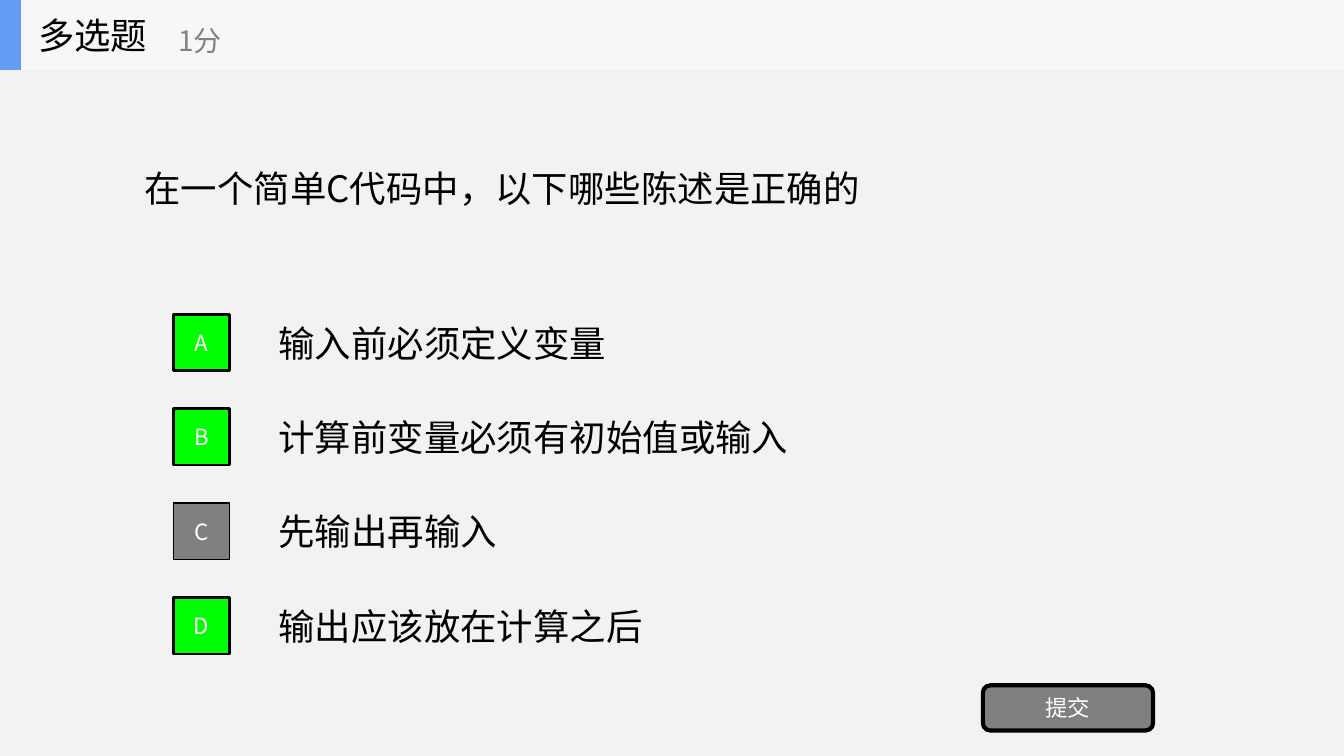
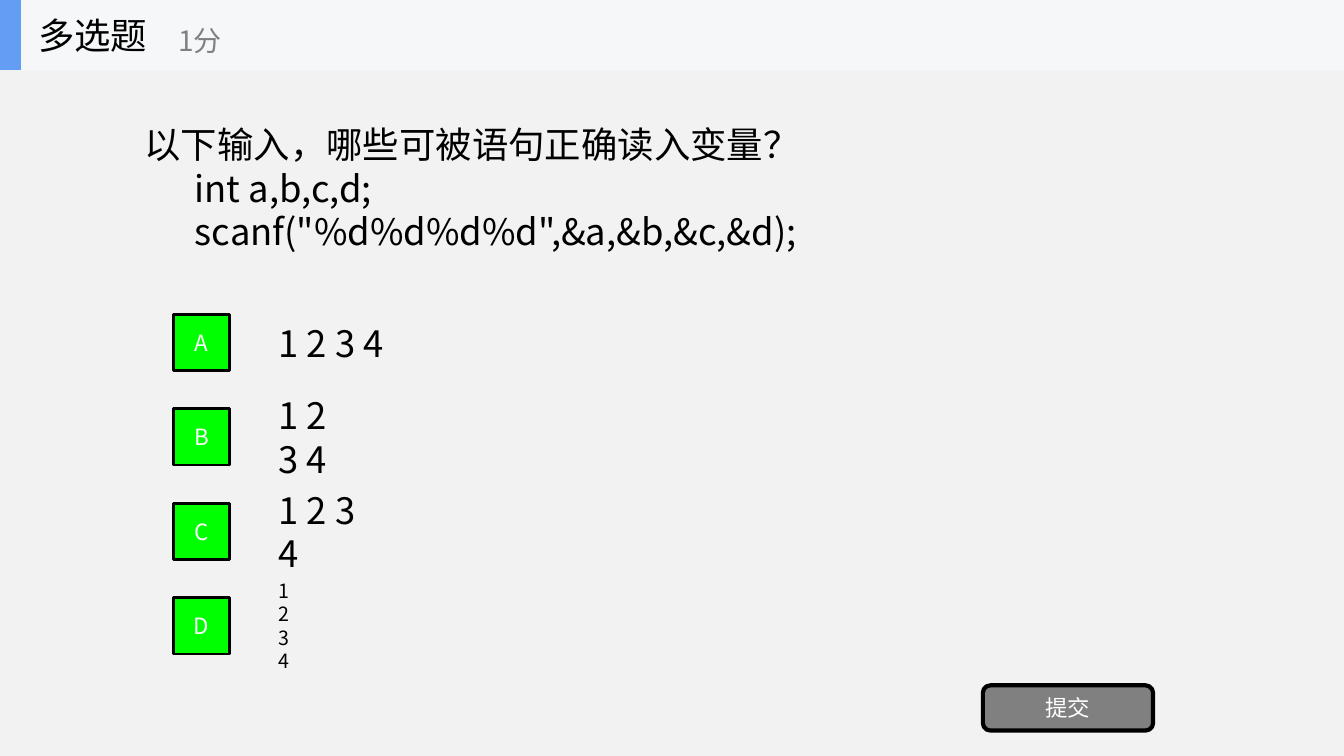
from dataclasses import dataclass

from lxml.etree import SubElement
from pptx import Presentation
from pptx.dml.color import RGBColor
from pptx.enum.shapes import MSO_SHAPE
from pptx.enum.text import MSO_ANCHOR, PP_ALIGN
from pptx.oxml.ns import qn
from pptx.util import Cm, Pt

FONT = "Noto Sans CJK SC"
BLACK, WHITE, GREY = "000000", "FFFFFF", "808080"
PAGE, BAND, ACCENT, CORRECT = "F2F2F2", "F6F7F8", "639EF4", "00FF00"
WIDTH, HEIGHT, BAND_HEIGHT = 33.87, 19.05, 1.76
FIRST_ROW, ROW_STEP, ROW_HEIGHT, BADGE_SIZE = 7.74, 2.38, 1.78, 1.42


@dataclass(frozen=True)
class Area:
    """A rectangle in centimetres."""
    left: float
    top: float
    width: float
    height: float

    def lengths(self) -> tuple:
        return Cm(self.left), Cm(self.top), Cm(self.width), Cm(self.height)


@dataclass(frozen=True)
class Option:
    lines: tuple[str, ...]
    correct: bool = True
    size: int = 26


@dataclass(frozen=True)
class Question:
    lines: tuple[str, ...]
    options: tuple[Option, ...]


QUESTIONS = (
    Question(
        ("在一个简单C代码中，以下哪些陈述是正确的",),
        (
            Option(("输入前必须定义变量",)),
            Option(("计算前变量必须有初始值或输入",)),
            Option(("先输出再输入",), correct=False),
            Option(("输出应该放在计算之后",)),
        ),
    ),
    Question(
        (
            "以下输入，哪些可被语句正确读入变量？",
            "\tint a,b,c,d;",
            '\tscanf("%d%d%d%d",&a,&b,&c,&d);',
        ),
        (
            Option(("1 2 3 4",)),
            Option(("1 2", "3 4")),
            Option(("1 2 3", "4")),
            Option(("1", "2", "3", "4"), size=14),
        ),
    ),
)


def colour(value: str) -> RGBColor:
    return RGBColor.from_string(value)


def write(shape, lines: tuple[str, ...], size: int, ink: str, align=PP_ALIGN.LEFT) -> None:
    """Fill a shape with one vertically centred paragraph per line."""
    frame = shape.text_frame
    frame.word_wrap = True
    frame.vertical_anchor = MSO_ANCHOR.MIDDLE
    for index, line in enumerate(lines):
        para = frame.add_paragraph() if index else frame.paragraphs[0]
        para.alignment = align
        span = para.add_run()
        span.text = line
        span.font.size = Pt(size)
        span.font.color.rgb = colour(ink)
        span.font.name = FONT
        SubElement(span.font._element, qn("a:ea"), typeface=FONT)


def add_text(page, area: Area, lines: tuple[str, ...], size: int = 26, ink: str = BLACK) -> None:
    write(page.shapes.add_textbox(*area.lengths()), lines, size, ink)


def add_block(page, area: Area, fill: str, kind=MSO_SHAPE.RECTANGLE, border: int = 0):
    """Add a flat shape; a border of 0 means no outline."""
    block = page.shapes.add_shape(kind, *area.lengths())
    block.shadow.inherit = False
    block.fill.solid()
    block.fill.fore_color.rgb = colour(fill)
    if border:
        block.line.width = Pt(border)
        block.line.color.rgb = colour(BLACK)
    else:
        block.line.fill.background()
    return block


def add_header(page) -> None:
    add_block(page, Area(0, 0, WIDTH, BAND_HEIGHT), BAND)
    add_block(page, Area(0, 0, 0.53, BAND_HEIGHT), ACCENT)
    add_text(page, Area(0.71, 0, 5.28, BAND_HEIGHT), ("多选题",))
    add_text(page, Area(4.24, 0.31, 6.35, 1.42), ("1分",), 20, GREY)


def add_option(page, row: int, option: Option) -> None:
    top = FIRST_ROW + row * ROW_STEP
    add_text(page, Area(6.77, top, 23.71, ROW_HEIGHT), option.lines, option.size)
    badge_top = top + (ROW_HEIGHT - BADGE_SIZE) / 2
    badge = add_block(
        page,
        Area(4.37, badge_top, BADGE_SIZE, BADGE_SIZE),
        CORRECT if option.correct else GREY,
        border=2 if option.correct else 1,
    )
    write(badge, ("ABCD"[row],), 16, WHITE, PP_ALIGN.CENTER)


def add_question(deck, question: Question) -> None:
    page = deck.slides.add_slide(deck.slide_layouts[6])
    add_text(page, Area(3.39, BAND_HEIGHT, 27.09, 5.94), question.lines)
    for row, option in enumerate(question.options):
        add_option(page, row, option)
    button = add_block(
        page, Area(24.77, 17.27, 4.29, 1.14), GREY, MSO_SHAPE.ROUNDED_RECTANGLE, border=3
    )
    write(button, ("提交",), 16, WHITE, PP_ALIGN.CENTER)
    add_header(page)


def main() -> None:
    deck = Presentation()
    deck.slide_width, deck.slide_height = Cm(WIDTH), Cm(HEIGHT)
    backdrop = deck.slide_master.background.fill
    backdrop.solid()
    backdrop.fore_color.rgb = colour(PAGE)
    for question in QUESTIONS:
        add_question(deck, question)
    deck.save("out.pptx")


if __name__ == "__main__":
    main()
